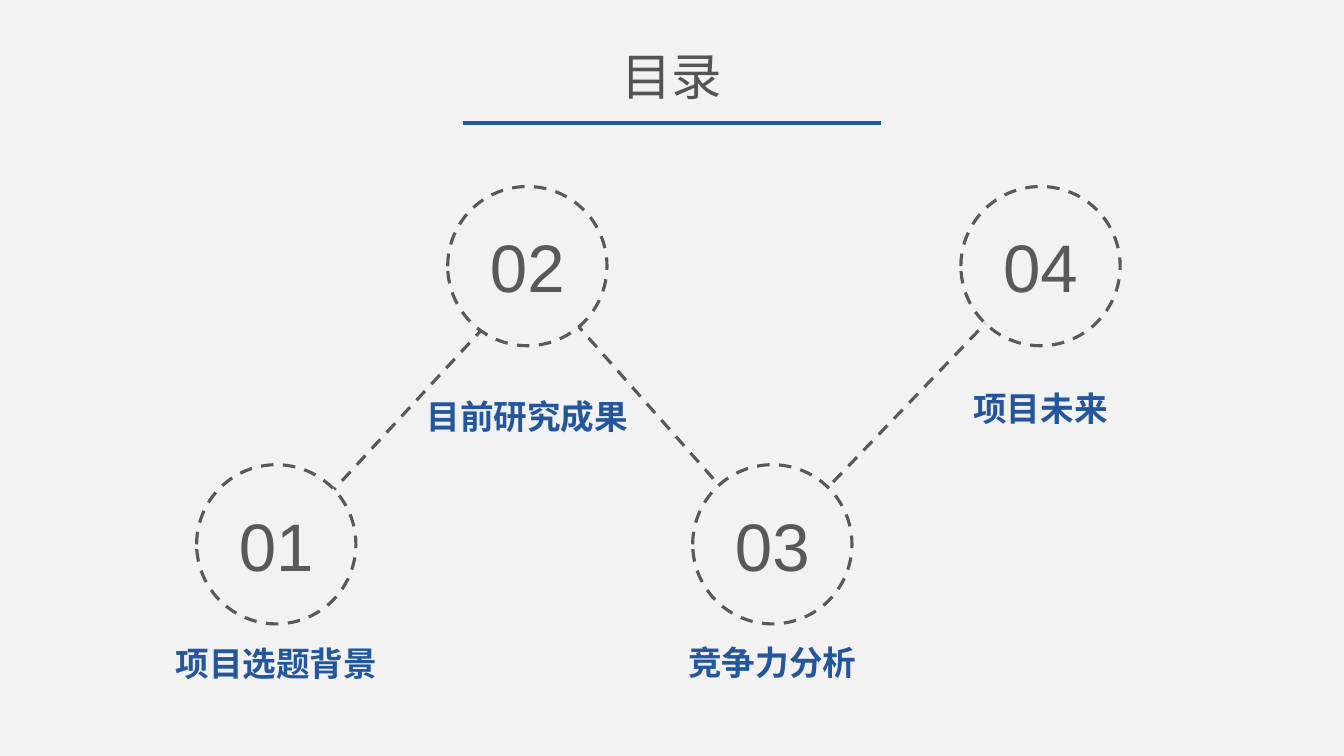
from pptx import Presentation
from pptx.dml.color import RGBColor
from pptx.enum import dml, shapes, text
from pptx.oxml import ns
from pptx.util import Inches, Pt

PALE = RGBColor(0xF2, 0xF2, 0xF2)
GREY = RGBColor(0x59, 0x59, 0x59)
DARK = RGBColor(0x54, 0x54, 0x54)
BLUE = RGBColor(0x24, 0x56, 0x9D)
SIZE = 1.58
STEPS = [
    ("项目选题背景", 1.95, 4.61, 1.72),
    ("目前研究成果", 4.44, 1.85, 2.03),
    ("竞争力分析", 6.87, 4.61, 1.71),
    ("项目未来", 9.53, 1.85, 1.95),
]
LINKS = [
    (2.8, 5.41, 5.26, 2.75),
    (5.26, 2.7, 7.66, 5.41),
    (7.66, 5.41, 10.32, 2.64),
]


def write(frame, words, size, color, bold=False, wrap=False):
    """Put one centred line of text in a frame."""
    frame.word_wrap = wrap
    para = frame.paragraphs[0]
    para.alignment = text.PP_ALIGN.CENTER
    run = para.add_run()
    run.text = words
    font = run.font
    font.name, font.size, font.bold = "Arial", Pt(size), bold
    font.color.rgb = color


def label(slide, words, left, top, width, height, **form):
    """Add a text box that holds one line."""
    box = slide.shapes.add_textbox(*map(Inches, (left, top, width, height)))
    write(box.text_frame, words, **form)
    box.text_frame.auto_size = text.MSO_AUTO_SIZE.SHAPE_TO_FIT_TEXT


def stroke(line, color, width, dash=None):
    """Set the colour, width and dash of a line."""
    line.color.rgb = color
    line.width = Pt(width)
    if dash:
        line.dash_style = dash


def link(slide, ends, color, width, dash=None):
    """Draw a straight line without shadow."""
    line = slide.shapes.add_connector(
        shapes.MSO_CONNECTOR.STRAIGHT, *map(Inches, ends))
    stroke(line.line, color, width, dash)
    line._element.spPr.append(
        line._element.makeelement(ns.qn("a:effectLst"), {}))


def header(slide, left, top, width):
    """Place the title centred over its rule."""
    label(slide, "目录", left + (width - 1.21) / 2, top, 1.21, 0.71,
          size=36, color=DARK)
    rule = top + 0.82
    link(slide, (left, rule, left + width, rule), BLUE, 3.5)


def step(slide, number, words, left, top, drop):
    """Place a numbered circle with its label centred below."""
    disc = slide.shapes.add_shape(
        shapes.MSO_SHAPE.OVAL, *map(Inches, (left, top, SIZE, SIZE)))
    disc.shadow.inherit = False
    disc.fill.solid()
    disc.fill.fore_color.rgb = PALE
    stroke(disc.line, GREY, 2.25, dml.MSO_LINE.DASH)
    disc.text_frame.vertical_anchor = text.MSO_ANCHOR.MIDDLE
    write(disc.text_frame, f"{number:02}", 48, GREY, wrap=True)
    width = len(words) / 3 + 0.22
    label(slide, words, left + (SIZE - width) / 2, top + drop, width, 0.5,
          size=24, color=BLUE, bold=True)


def main():
    """Build the contents slide and save it."""
    deck = Presentation()
    deck.slide_width, deck.slide_height = Inches(13.33), Inches(7.5)
    slide = deck.slides.add_slide(deck.slide_layouts[6])
    slide.background.fill.solid()
    slide.background.fill.fore_color.rgb = PALE
    header(slide, 4.59, 0.4, 4.15)
    for ends in LINKS:
        link(slide, ends, GREY, 2.25, dml.MSO_LINE.DASH)
    for number, item in enumerate(STEPS, 1):
        step(slide, number, *item)
    deck.save("out.pptx")


if __name__ == "__main__":
    main()
